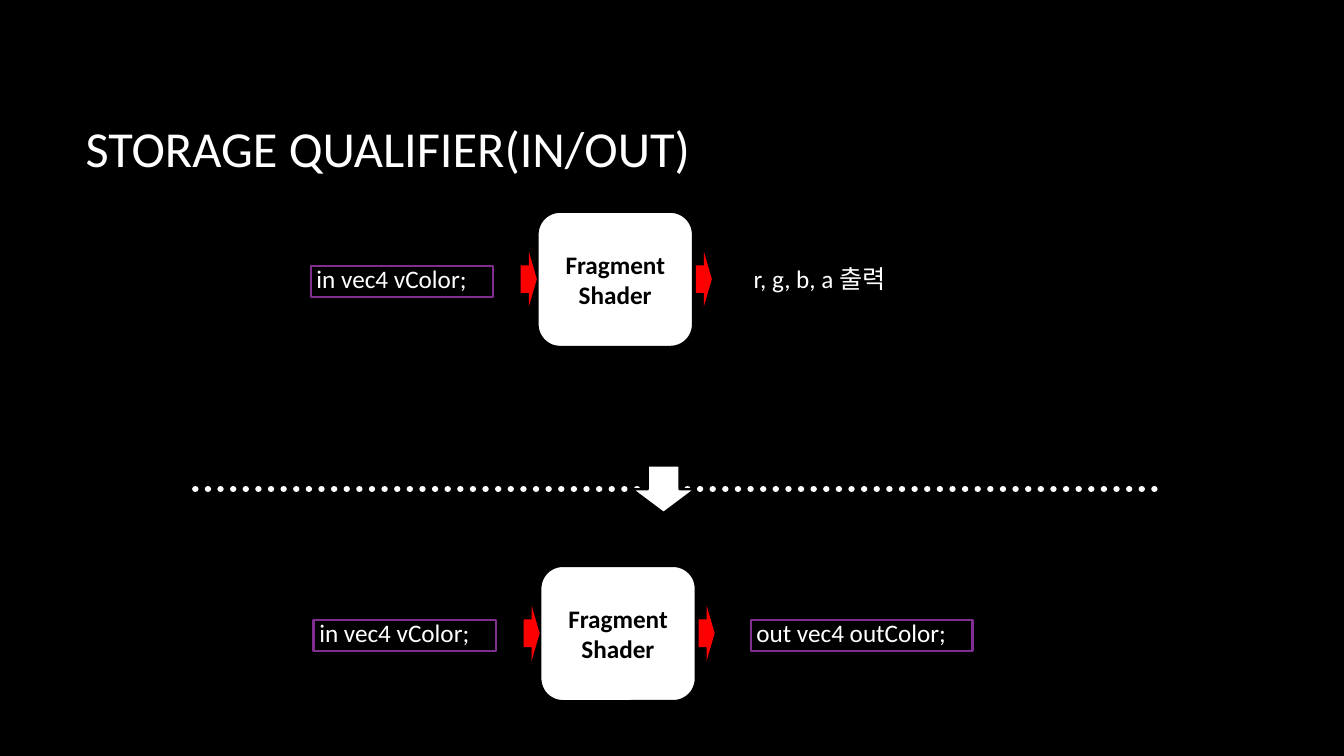
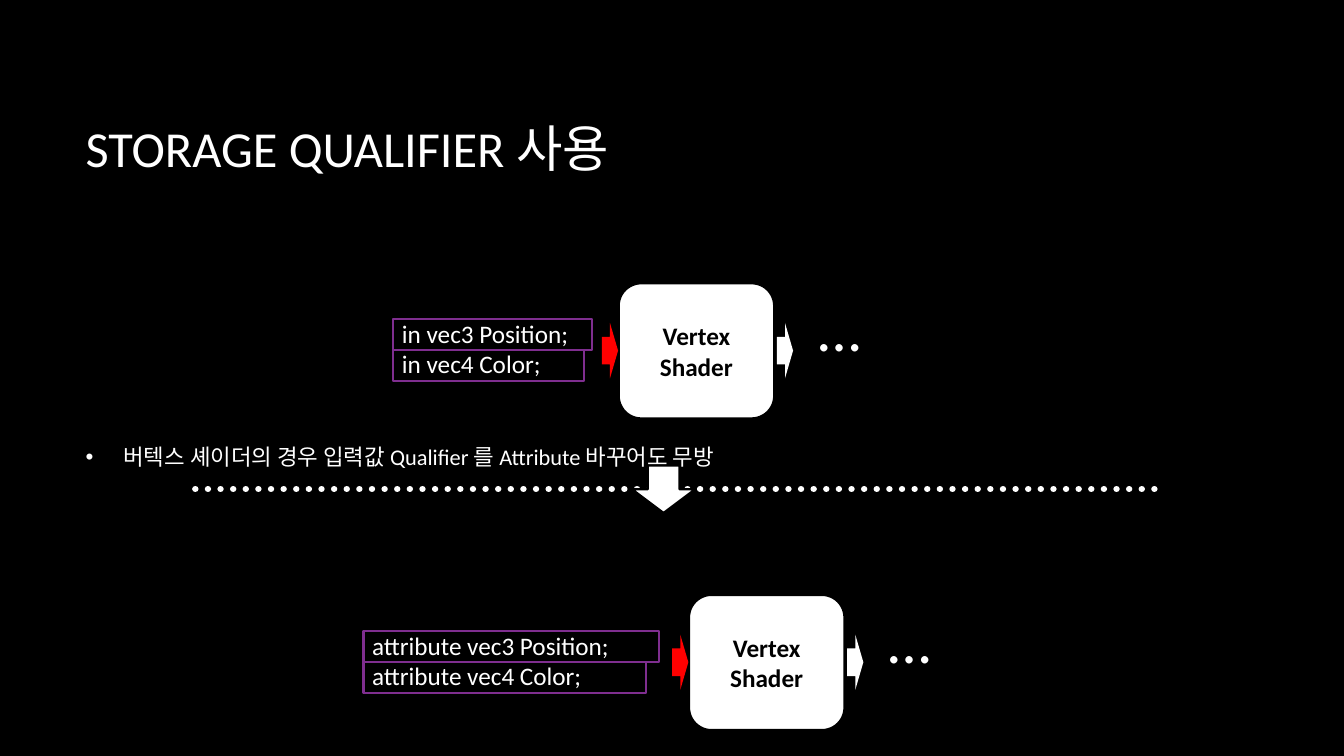
from lxml import etree
from pptx import Presentation
from pptx import util as u
from pptx.dml import color
from pptx.enum import dml, shapes, text
from pptx.oxml import ns

# Shared look
FONT = "Calibri"
BLACK, WHITE, RED, PURPLE = "000000", "FFFFFF", "FF0000", "7F2E8F"
LEFT, CENTER = text.PP_ALIGN.LEFT, text.PP_ALIGN.CENTER
TOP, MIDDLE = text.MSO_ANCHOR.TOP, text.MSO_ANCHOR.MIDDLE
CODE_LINE = 22
SHADER_SIZE = (111, 96.5)
ARROW_SIZE = (11.5, 39.5)


def rgb(value):
    return color.RGBColor.from_string(value)


def points(*lengths):
    return [u.Pt(length) for length in lengths]


def write(frame, lines, size=18, ink=WHITE, bold=False, align=LEFT, anchor=TOP):
    frame_format = {"word_wrap": True, "auto_size": text.MSO_AUTO_SIZE.NONE,
                    "vertical_anchor": anchor}
    font_format = {"name": FONT, "size": u.Pt(size), "bold": bold}
    for name, value in frame_format.items():
        setattr(frame, name, value)
    for index, line in enumerate(lines):
        paragraph = frame.add_paragraph() if index else frame.paragraphs[0]
        paragraph.alignment = align
        paragraph.space_before = u.Pt(0)
        run = paragraph.add_run()
        run.text = line
        for name, value in font_format.items():
            setattr(run.font, name, value)
        run.font.color.rgb = rgb(ink)


# Kinds of element
def fill_placeholder(placeholder, box, line, **style):
    placeholder.left, placeholder.top, placeholder.width, placeholder.height = points(*box)
    write(placeholder.text_frame, [line], **style)


def add_label(slide, box, lines, **style):
    write(slide.shapes.add_textbox(*points(*box)).text_frame, lines, **style)


def add_block(slide, preset, box, fill=None, outline=None):
    block = slide.shapes.add_shape(preset, *points(*box))
    block.shadow.inherit = False
    if fill:
        block.fill.solid()
        block.fill.fore_color.rgb = rgb(fill)
    else:
        block.fill.background()
    if outline:
        block.line.color.rgb = rgb(outline)
        block.line.width = u.Pt(1.5)
    else:
        block.line.fill.background()
    return block


def add_shader(slide, x, y, name, output_ink):
    """A shader stage with its input and output arrows."""
    stage = add_block(slide, shapes.MSO_SHAPE.ROUNDED_RECTANGLE,
                      (x, y, *SHADER_SIZE), WHITE, BLACK)
    write(stage.text_frame, [name], ink=BLACK, bold=True, align=CENTER, anchor=MIDDLE)
    for dx, ink in ((113, output_ink), (-12, RED)):
        add_block(slide, shapes.MSO_SHAPE.RIGHT_ARROW, (x + dx, y + 28.3, *ARROW_SIZE), ink)


def add_code(slide, x, y, width, lines, frame_widths, inset):
    """Declarations, one per line, each outlined by a frame."""
    add_label(slide, (x, y, width, 7 + CODE_LINE * len(lines)), lines)
    for row, frame_width in enumerate(frame_widths):
        add_block(slide, shapes.MSO_SHAPE.RECTANGLE,
                  (x + inset[0], y + inset[1] + row * CODE_LINE, frame_width, CODE_LINE),
                  outline=PURPLE)


def add_divider(slide):
    """The dotted line between before and after, with its down arrow."""
    divider = slide.shapes.add_connector(
        shapes.MSO_CONNECTOR.STRAIGHT, *points(139.5, 349.3, 826, 349.3))
    divider.line.color.rgb = rgb(WHITE)
    divider.line.width = u.Pt(4.5)
    divider.line.dash_style = dml.MSO_LINE.ROUND_DOT
    properties = divider.element.spPr
    properties.find(ns.qn("a:ln")).set("cap", "rnd")
    etree.SubElement(properties, ns.qn("a:effectLst"))
    add_block(slide, shapes.MSO_SHAPE.DOWN_ARROW, (451.5, 332.6, 45, 33.8), WHITE, BLACK)


def add_slide(deck, layout, title):
    slide = deck.slides.add_slide(deck.slide_layouts.get_by_name(layout))
    fill_placeholder(slide.shapes.title, (54, 48, 798, 114.5), title, size=36, anchor=MIDDLE)
    return slide


# Slides
def build_in_out(deck):
    slide = add_slide(deck, "Title Only", "STORAGE QUALIFIER(IN/OUT)")
    add_divider(slide)
    stages = ((384, 151.3, "r, g, b, a 출력", []),
              (386, 404.3, "out vec4 outColor;", [158.5]))
    for x, y, output, output_frames in stages:
        add_shader(slide, x, y, "Fragment Shader", RED)
        add_code(slide, x - 165, y + 33.3, 153, ["in vec4 vColor;"], [130.5], (3, 5.5))
        add_code(slide, x + 147.2, y + 33.3, 217, [output], output_frames, (3, 5.5))


def build_usage(deck):
    slide = add_slide(deck, "Title and Content", "STORAGE QUALIFIER 사용")
    fill_placeholder(slide.placeholders[1], (54, 313, 798, 143),
                     "버텍스 셰이더의 경우 입력값 Qualifier 를 Attribute 바꾸어도 무방", size=16)
    stages = ((442, 202.4, "in", 162, 148, (142, 136)),
              (492.2, 425, "attribute", 233.5, 220, (211, 202)))
    for x, y, qualifier, code_offset, code_width, frame_widths in stages:
        add_shader(slide, x, y, "Vertex Shader", WHITE)
        add_label(slide, (x + 135.5, y + 1.5, 57, 60.5), ["…"], size=44)
        declarations = [f"{qualifier} vec3 Position;", f"{qualifier} vec4 Color;"]
        add_code(slide, x - code_offset, y + 21.5, code_width, declarations,
                 frame_widths, (1, 4.3))
    add_divider(slide)


def main():
    deck = Presentation()
    deck.slide_width, deck.slide_height = points(960, 540)
    background = deck.slide_master.background.fill
    background.solid()
    background.fore_color.rgb = rgb(BLACK)
    build_in_out(deck)
    build_usage(deck)
    deck.save("out.pptx")


if __name__ == "__main__":
    main()
